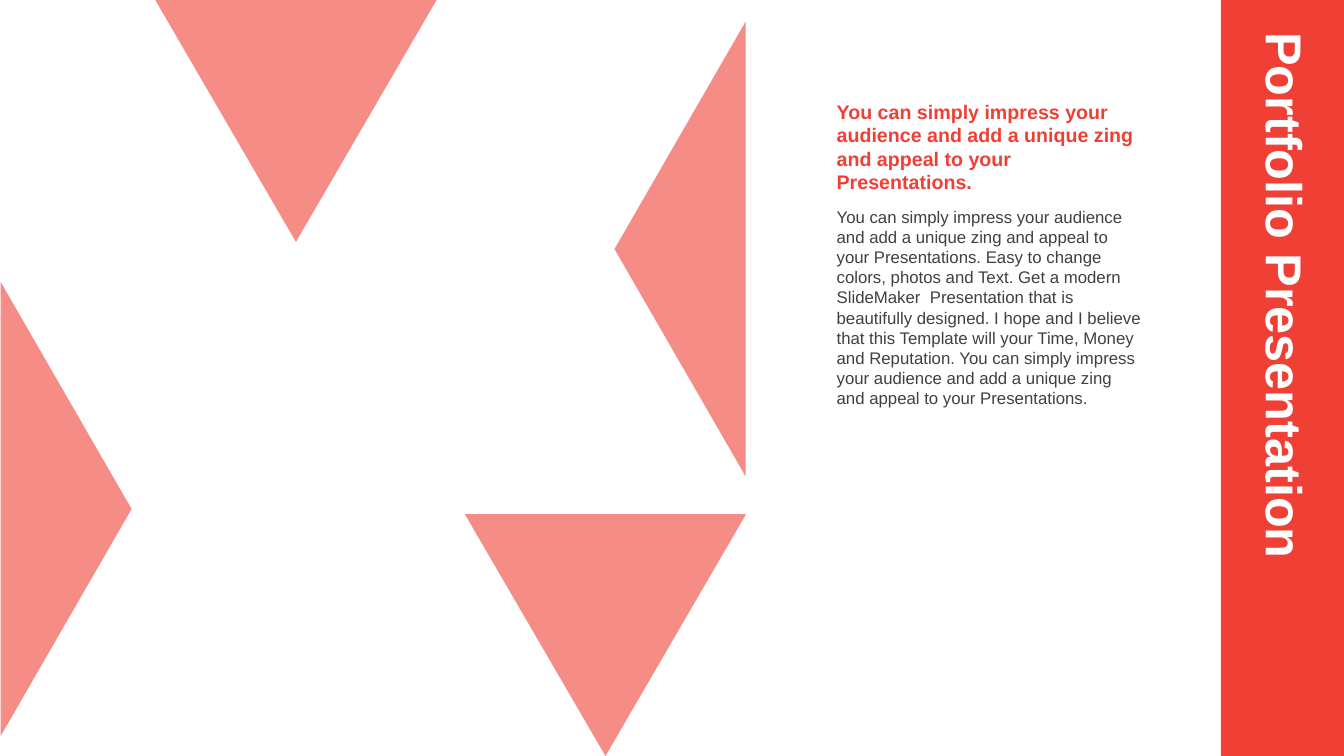
import pptx
import pptx.dml.color
import pptx.enum.shapes
import pptx.enum.text
import pptx.oxml
import pptx.oxml.ns
import pptx.util
from pptx.util import Inches

COLORS = {"red": "F04036", "white": "FFFFFF", "body": "404040"}
FONT = "Arial"
SHAPES = pptx.enum.shapes.MSO_SHAPE
LEFT = pptx.enum.text.PP_ALIGN.LEFT


class PortfolioSlide:
    def __init__(self, deck):
        self.slide = deck.slides.add_slide(deck.slide_layouts[5])

    def color(self, name):
        return pptx.dml.color.RGBColor.from_string(COLORS[name])

    def block(self, preset, box, rotation=0, opacity=None):
        block = self.slide.shapes.add_shape(preset, *map(Inches, box))
        block.rotation = rotation
        block.shadow.inherit = False
        block.fill.solid()
        block.fill.fore_color.rgb = self.color("red")
        block.line.fill.background()
        if opacity is not None:
            fill = block._element.spPr.find(pptx.oxml.ns.qn("a:solidFill"))
            alpha = pptx.oxml.parse_xml(
                f'<a:alpha {pptx.oxml.ns.nsdecls("a")} val="{opacity * 1000}"/>')
            fill[0].append(alpha)

    def style_text(self, frame, text, size, color, bold=False, align=LEFT):
        frame.word_wrap = True
        frame.text = text
        paragraph = frame.paragraphs[0]
        paragraph.alignment = align
        font = paragraph.runs[0].font
        font.name = FONT
        font.size = pptx.util.Pt(size)
        font.bold = bold
        font.color.rgb = self.color(color)
        return paragraph

    def text(self, box, text, size, color, bold=False):
        frame = self.slide.shapes.add_textbox(*map(Inches, box)).text_frame
        self.style_text(frame, text, size, color, bold)
        frame.auto_size = pptx.enum.text.MSO_AUTO_SIZE.SHAPE_TO_FIT_TEXT

    def title(self, box, text, size, rotation):
        title = self.slide.shapes.title
        title.left, title.top, title.width, title.height = map(Inches, box)
        title.rotation = rotation
        frame = title.text_frame
        frame.auto_size = pptx.enum.text.MSO_AUTO_SIZE.NONE
        frame.vertical_anchor = pptx.enum.text.MSO_ANCHOR.MIDDLE
        paragraph = self.style_text(frame, text, size, "white", True,
                                    pptx.enum.text.PP_ALIGN.JUSTIFY)
        paragraph.line_spacing = 0.8
        self.slide.shapes._spTree.append(title._element)


def main():
    deck = pptx.Presentation()
    deck.slide_width, deck.slide_height = Inches(13.33), Inches(7.5)
    portfolio = PortfolioSlide(deck)

    for left, top, width, height, rotation in (
        (-1.6, 4.4, 4.51, 1.3, 90),
        (1.54, 0, 2.79, 2.4, 180),
        (4.61, 5.1, 2.79, 2.4, 180),
        (4.49, 1.82, 4.51, 1.3, 270),
    ):
        portfolio.block(SHAPES.ISOSCELES_TRIANGLE, (left, top, width, height),
                        rotation, opacity=60)

    portfolio.block(SHAPES.RECTANGLE, (12.11, 0, 1.22, 7.5))
    portfolio.title((9.17, 3.24, 7.06, 1.02), "Portfolio Presentation", 36, 90)

    lead = ("You can simply impress your audience and add a unique zing "
            "and appeal to your Presentations.")
    details = (
        f"{lead} Easy to change colors, photos and Text. Get a modern "
        "SlideMaker  Presentation that is beautifully designed. I hope and "
        f"I believe that this Template will your Time, Money and Reputation. {lead}")
    portfolio.text((8.2, 2, 3.23, 2.12), details, 12, "body")
    portfolio.text((8.2, 0.94, 3.23, 1.04), lead, 14, "red", bold=True)

    deck.save("out.pptx")


if __name__ == "__main__":
    main()
